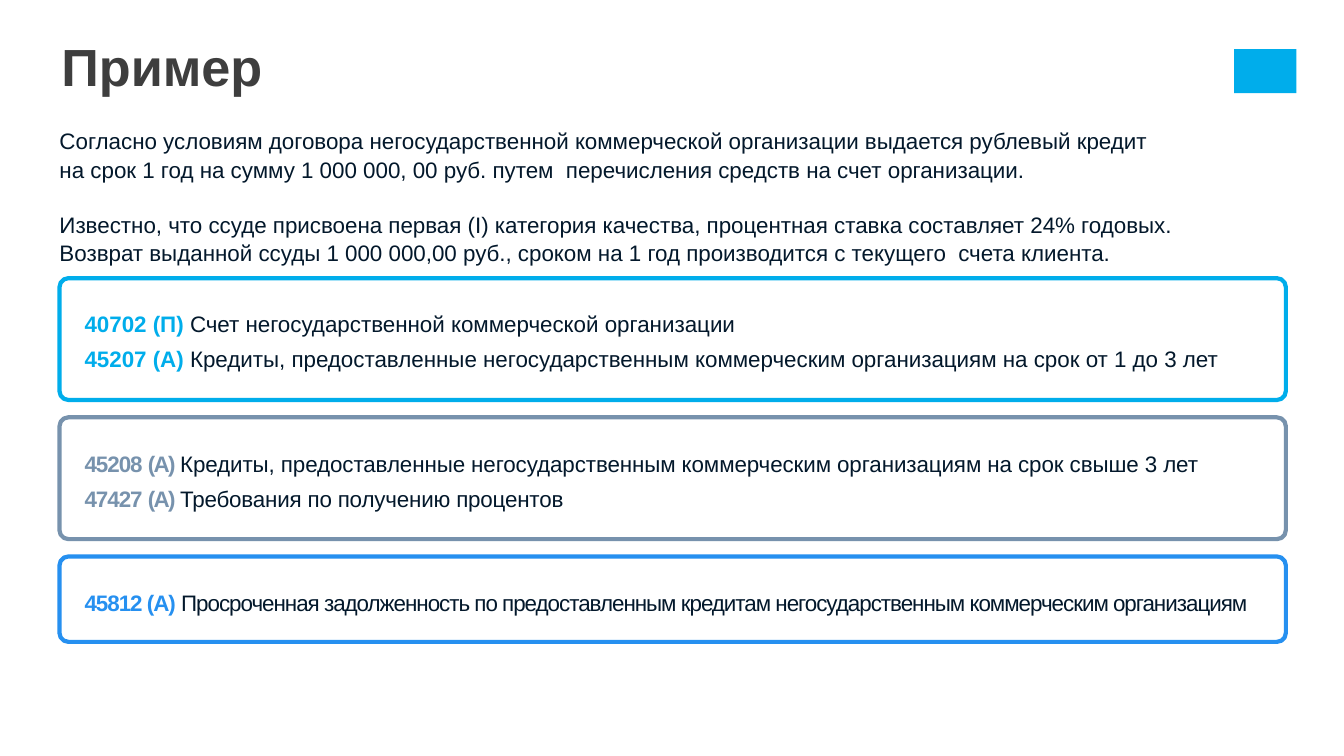
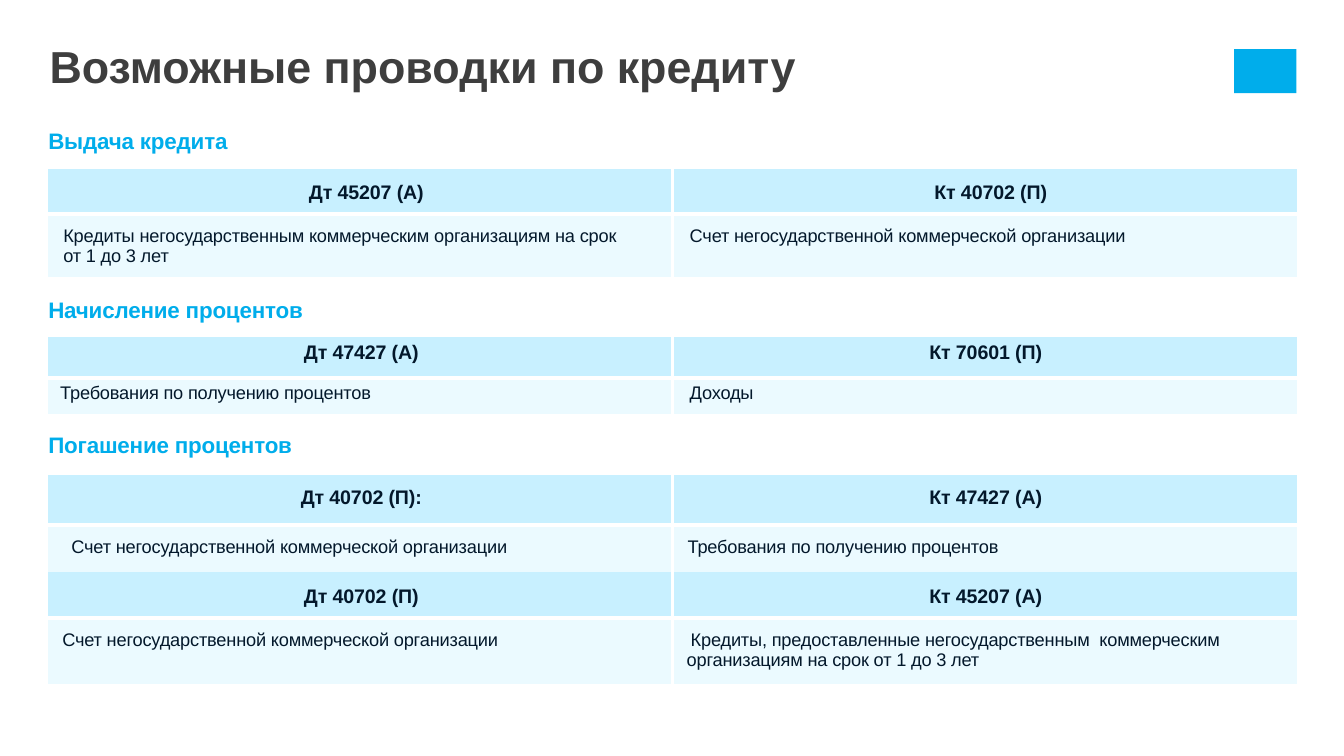
from copy import deepcopy

from lxml.etree import SubElement
from pptx import Presentation
from pptx.dml.color import RGBColor
from pptx.enum.shapes import MSO_SHAPE as Preset
from pptx.enum.text import MSO_ANCHOR as Anchor, PP_ALIGN as Align
from pptx.oxml.ns import qn
from pptx.util import Pt

COLOURS = {
    "title": "3E3E3E",
    "text": "03182B",
    "cyan": "00ADEB",
    "slate": "7792AD",
    "blue": "2690F0",
    "white": "FFFFFF",
    "header": "C8F0FF",
    "cell": "EBFAFF",
}
FONT = "Arial"
NO_TABLE_STYLE = "{2D5ABB26-0587-4C30-8999-92F81FD0307C}"
TITLE_ONLY = 5


def colour(name):
    return RGBColor.from_string(COLOURS[name])


class SlideBuilder:
    """Holds the deck, its shared style and the current slide."""

    def __init__(self):
        self.deck = Presentation()
        self.deck.slide_width, self.deck.slide_height = Pt(960), Pt(540)
        self.page = None

    def new_page(self, title, left, top, width, height, size):
        self.page = self.deck.slides.add_slide(self.deck.slide_layouts[TITLE_ONLY])
        box = self.page.shapes.title
        self.place(box, left, top, width, height)
        self.frame(box, left=1.4, top=1.4)
        para = box.text_frame.paragraphs[0]
        para.alignment = Align.LEFT
        self.span(para, title, "title", size, bold=True)
        self.brand_block()

    def brand_block(self):
        box = self.page.shapes.add_shape(
            Preset.RECTANGLE, Pt(881.5), Pt(35), Pt(44.5), Pt(31.5))
        box.shadow.inherit = False
        box.fill.solid()
        box.fill.fore_color.rgb = colour("cyan")
        box.line.fill.background()

    @staticmethod
    def place(box, left, top, width, height):
        values = {"left": left, "top": top, "width": width, "height": height}
        for name, value in values.items():
            setattr(box, name, Pt(value))

    @staticmethod
    def frame(box, left=0, top=0):
        values = {"margin_left": Pt(left), "margin_top": Pt(top),
                  "margin_right": 0, "margin_bottom": 0,
                  "word_wrap": True, "vertical_anchor": Anchor.TOP}
        for name, value in values.items():
            setattr(box.text_frame, name, value)

    @staticmethod
    def span(para, text, shade="text", size=16, bold=False, spacing=0):
        """Add text to a paragraph; a newline becomes a line break."""
        for number, line in enumerate(text.split("\n")):
            if number:
                para.add_line_break()
                para._p[-1].append(deepcopy(run._r.rPr))
            run = para.add_run()
            run.text = line
            style = {"name": FONT, "size": Pt(size), "bold": bold}
            for name, value in style.items():
                setattr(run.font, name, value)
            run.font.color.rgb = colour(shade)
            if spacing:
                run._r.rPr.set("spc", str(round(spacing * 100)))

    def text(self, left, top, width, height, paragraphs, inset=(0, 0),
             first_line=None, line=None, gap=0):
        """Each paragraph is a list of spans, given as argument tuples."""
        box = self.page.shapes.add_textbox(Pt(left), Pt(top), Pt(width), Pt(height))
        self.frame(box, *inset)
        for number, spans in enumerate(paragraphs):
            para = box.text_frame.add_paragraph() if number else box.text_frame.paragraphs[0]
            para.line_spacing = line
            if number:
                para.space_before = Pt(gap)
            elif first_line:
                para.line_spacing = Pt(first_line)
            for values in spans:
                self.span(para, *values)

    def heading(self, top, text):
        self.text(34.5, top, 480, 19, [[(text, "cyan", 16, True, -0.1)]])

    def account_card(self, top, height, shade, paragraphs):
        width = 876
        card = self.page.shapes.add_shape(
            Preset.ROUNDED_RECTANGLE, Pt(42.5), Pt(top), Pt(width), Pt(height))
        card.shadow.inherit = False
        card.adjustments[0] = 6.4 / height
        card.fill.solid()
        card.fill.fore_color.rgb = colour("white")
        fill = card._element.spPr.find(qn("a:solidFill"))
        SubElement(fill[0], qn("a:alpha")).set("val", "70000")
        card.line.color.rgb = colour(shade)
        card.line.width = Pt(3)
        self.text(59, top + 15.8, 843, height - 35, paragraphs,
                  inset=(1.4, 0), first_line=26.6, line=1.05, gap=4.8)

    @staticmethod
    def cell_border(cell, side):
        line = SubElement(cell._tc.get_or_add_tcPr(), qn("a:" + side),
                          w=str(Pt(3)))
        fill = SubElement(line, qn("a:solidFill"))
        SubElement(fill, qn("a:srgbClr"), val=COLOURS["white"])

    def entry_table(self, top, heights, headers, details, indents,
                    header_inset=(1.4, 8.6), detail_top=8.6, last_indent=0):
        """A debit and credit pair: a header row above a row of account names."""
        shape = self.page.shapes.add_table(
            2, 2, Pt(34.4), Pt(top), Pt(892), Pt(sum(heights)))
        table = shape.table
        table.first_row = table.horz_banding = False
        table._tbl.tblPr.find(qn("a:tableStyleId")).text = NO_TABLE_STYLE
        for row, height in zip(table.rows, heights):
            row.height = Pt(height)
        for row, texts in enumerate((headers, details)):
            for column, text in enumerate(texts):
                cell = table.cell(row, column)
                self.cell_border(cell, "lnL" if column else "lnR")
                self.cell_border(cell, "lnT" if row else "lnB")
                cell.fill.solid()
                cell.fill.fore_color.rgb = colour("cell" if row else "header")
                left, inset_top = (indents[column], detail_top) if row else header_inset
                margins = {"margin_left": Pt(left), "margin_top": Pt(inset_top),
                           "margin_right": 0, "margin_bottom": 0}
                for name, value in margins.items():
                    setattr(cell, name, value)
                para = cell.text_frame.paragraphs[0]
                para.alignment = Align.LEFT if row else Align.CENTER
                if row and column and last_indent:
                    para._p.get_or_add_pPr().set("indent", str(Pt(last_indent)))
                self.span(para, text, "text", 13 if row else 14, not row, -0.1)


def build_example(builder):
    builder.new_page("Пример", 42.5, 23, 246, 47, 37.3)
    builder.text(42.5, 88, 846, 99, [
        [("Согласно условиям договора негосударственной коммерческой организации "
          "выдается рублевый кредит \nна срок 1 год на сумму 1 000 000, 00 руб. "
          "путем  перечисления средств на счет организации.",)],
        [("Известно, что ссуде присвоена первая (I) категория качества, процентная "
          "ставка составляет 24% годовых. Возврат выданной ссуды 1 000 000,00 руб., "
          "сроком на 1 год производится с текущего  счета клиента.",)],
    ], inset=(0, 2.2), line=1.05, gap=19.3)

    # Account cards, spaced evenly
    cards = [
        (87, "cyan", [
            [("40702 (П) ", "cyan", 16, True),
             ("Счет негосударственной коммерческой организации",)],
            [("45207 (А) ", "cyan", 16, True),
             ("Кредиты, предоставленные негосударственным коммерческим "
              "организациям на срок от 1 до 3 лет",)]]),
        (87, "slate", [
            [("45208 ", "slate", 16, True, -0.7), ("(А) ", "slate", 16, True, -1.2),
             ("Кредиты, предоставленные негосударственным коммерческим "
              "организациям на срок свыше 3 лет", "text", 16, False, -0.06)],
            [("47427 ", "slate", 16, True, -0.7), ("(А) ", "slate", 16, True, -1.2),
             ("Требования по получению процентов", "text", 16, False, -0.1)]]),
        (61, "blue", [
            [("45812 (А) ", "blue", 16, True, -0.7),
             ("Просроченная задолженность по предоставленным кредитам "
              "негосударственным коммерческим организациям",
              "text", 16, False, -0.7)]]),
    ]
    for number, card in enumerate(cards):
        builder.account_card(198.7 + 99.4 * number, *card)


def build_entries(builder):
    builder.new_page("Возможные проводки по кредиту", 34, 26, 625, 40, 32)
    client = "Счет негосударственной коммерческой организации"
    interest = "Требования по получению процентов"

    # Loan issue
    builder.heading(90.7, "Выдача кредита")
    builder.entry_table(
        121, (31.7, 45), ("Дт 45207 (А)", "Кт 40702 (П)"),
        ("Кредиты негосударственным коммерческим организациям на срок \n"
         "от 1 до 3 лет", client),
        (10.8, 12.3), header_inset=(8.6, 8.6))

    # Interest accrual
    builder.heading(211.7, "Начисление процентов")
    builder.entry_table(
        240.5, (29.5, 26), ("Дт 47427 (А)", "Кт 70601 (П)"),
        (interest, "Доходы"), (8.6, 12.3), header_inset=(1.4, 3.6), detail_top=3.6)

    # Repayment
    builder.heading(308.2, "Погашение процентов")
    builder.entry_table(
        339.2, (36, 33.1), ("Дт 40702 (П):", "Кт 47427 (А)"),
        (client, interest), (16.6, 10.8))
    builder.entry_table(
        408.3, (33.1, 47.5), ("Дт 40702 (П)", "Кт 45207 (А)"),
        (client, "Кредиты, предоставленные негосударственным  коммерческим "
                 "организациям на срок от 1 до 3 лет"),
        (10.1, 10.1), header_inset=(1.4, 10), last_indent=2.9)


def main():
    builder = SlideBuilder()
    build_example(builder)
    build_entries(builder)
    builder.deck.save("out.pptx")


if __name__ == "__main__":
    main()
